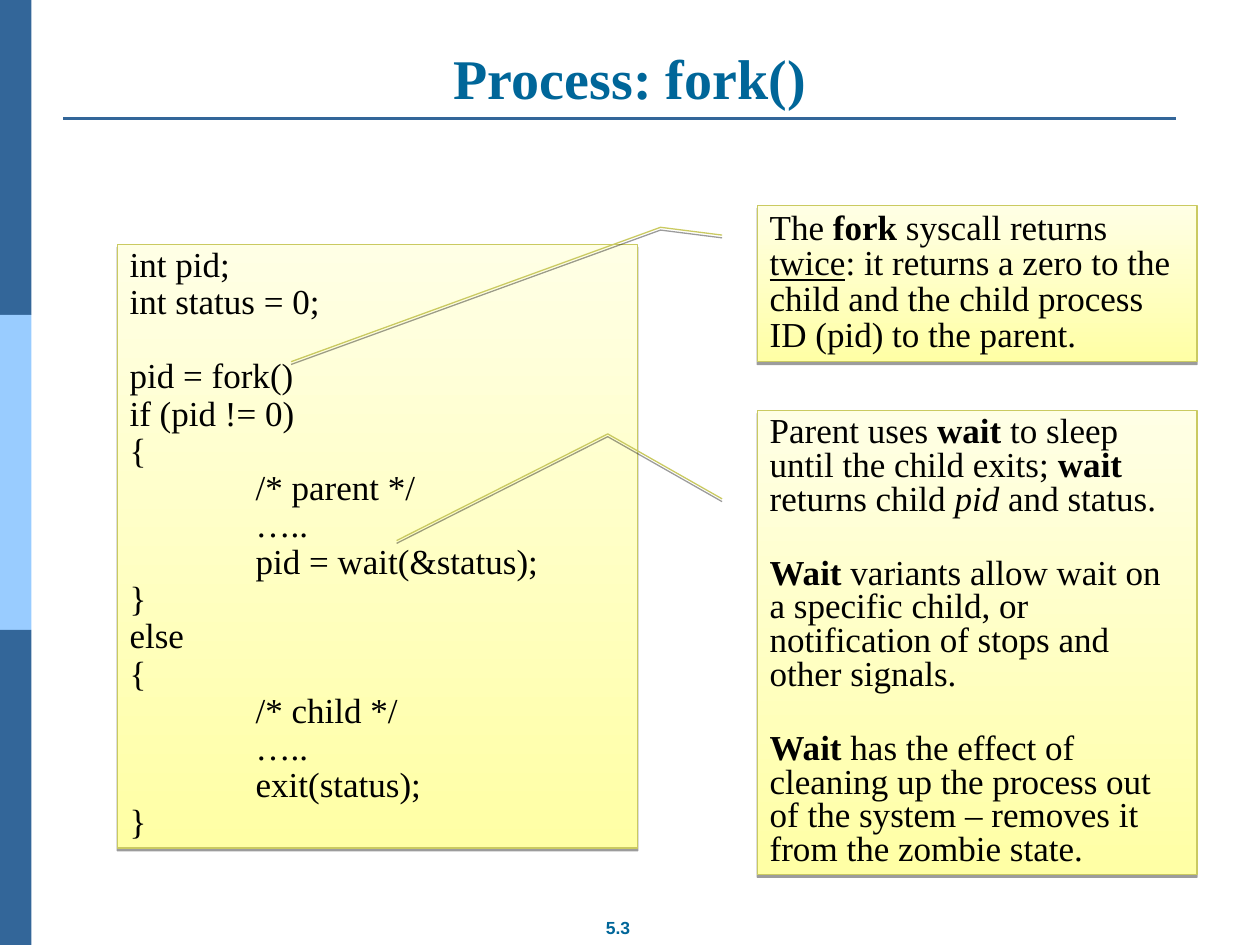
from dataclasses import dataclass

from lxml.etree import SubElement
from pptx import Presentation
from pptx.dml.color import RGBColor
from pptx.enum.shapes import MSO_CONNECTOR as Connector, MSO_SHAPE as Shape
from pptx.enum.text import MSO_ANCHOR as Anchor, MSO_AUTO_SIZE as AutoSize, PP_ALIGN as Align
from pptx.oxml.ns import qn
from pptx.util import Pt


@dataclass(frozen=True)
class Theme:
    blue: RGBColor = RGBColor.from_string("336699")
    light_blue: RGBColor = RGBColor.from_string("99CCFF")
    heading: RGBColor = RGBColor.from_string("006699")
    text: RGBColor = RGBColor.from_string("000000")
    panel_bottom: RGBColor = RGBColor.from_string("FFFFA5")
    panel_top: RGBColor = RGBColor.from_string("FFFFE5")
    panel_line: RGBColor = RGBColor.from_string("CACA61")
    shadow: str = "000000"
    serif: str = "Times New Roman"
    sans: str = "Arial"
    title_size: int = 32
    body_size: int = 20
    number_size: int = 10


THEME = Theme()
LINE_GAP = 2
EMPTY_LINE = 23.2

CODE = """int pid;
int status = 0;

pid = fork()
if (pid != 0)
{
\t/* parent */
\t…..
\tpid = wait(&status);
}
else
{
\t/* child */
\t…..
\texit(status);
}"""

FORK_NOTE = [
    [("The ", ""), ("fork", "bold"), (" syscall returns ", ""), ("twice", "underline"),
     (": it returns a zero to the child and the child process ID (pid) to the parent.", "")],
]
WAIT_NOTE = [
    [("Parent uses ", ""), ("wait", "bold"), (" to sleep until the child exits; ", ""),
     ("wait", "bold"), (" returns child ", ""), ("pid", "italic"), (" and status.", "")],
    [("Wait", "bold"),
     (" variants allow wait on a specific child, or notification of stops and other signals.", "")],
    [("Wait", "bold"),
     (" has the effect of cleaning up the process out of the system – removes it from the zombie state.", "")],
]


def style_font(font, name, size, color, bold=False):
    font.name, font.size, font.bold = name, Pt(size), bold
    font.color.rgb = color


def add_sidebar(page):
    height = 180
    for index, color in enumerate((THEME.blue, THEME.light_blue, THEME.blue)):
        band = page.shapes.add_shape(Shape.RECTANGLE, 0, Pt(index * height), Pt(18), Pt(height))
        band.shadow.inherit = False
        band.fill.solid()
        band.fill.fore_color.rgb = color
        band.line.fill.background()


def add_rule(page):
    rule = page.shapes.add_connector(Connector.STRAIGHT, Pt(36), Pt(67.7), Pt(671.8), Pt(67.7))
    rule.line.color.rgb = THEME.blue
    rule.line.width = Pt(1.5)
    SubElement(rule._element.spPr, qn("a:effectLst"))


def set_title(page, text):
    title = page.shapes.title
    title.left, title.top, title.width, title.height = Pt(36), Pt(21.6), Pt(648), Pt(45.4)
    frame = title.text_frame
    frame.text = text
    frame.auto_size = AutoSize.NONE
    frame.vertical_anchor = Anchor.BOTTOM
    paragraph = frame.paragraphs[0]
    paragraph.alignment = Align.CENTER
    style_font(paragraph.runs[0].font, THEME.serif, THEME.title_size, THEME.heading, True)


def add_page_number(page, text):
    box = page.shapes.add_textbox(Pt(317.5), Pt(520.6), Pt(71.3), Pt(19.4))
    frame = box.text_frame
    frame.text = text
    frame.word_wrap = False
    paragraph = frame.paragraphs[0]
    paragraph.alignment = Align.CENTER
    style_font(paragraph.runs[0].font, THEME.sans, THEME.number_size, THEME.heading, True)


def add_drop_shadow(shape):
    shape.shadow.inherit = False
    effects = shape._element.spPr.find(qn("a:effectLst"))
    shadow = SubElement(effects, qn("a:outerShdw"), blurRad="0", dist=str(Pt(1.6)),
                        dir="5400000", rotWithShape="0")
    color = SubElement(shadow, qn("a:srgbClr"), val=THEME.shadow)
    SubElement(color, qn("a:alpha"), val="38000")


def add_panel(page, kind, left, top, width, height):
    panel = page.shapes.add_shape(kind, Pt(left), Pt(top), Pt(width), Pt(height))
    add_drop_shadow(panel)
    panel.fill.gradient()
    panel.fill.gradient_angle = 90
    for stop, color in zip(panel.fill.gradient_stops, (THEME.panel_bottom, THEME.panel_top)):
        stop.color.rgb = color
    panel.line.color.rgb = THEME.panel_line
    panel.line.width = Pt(0.75)
    frame = panel.text_frame
    frame.word_wrap = True
    frame.vertical_anchor = Anchor.TOP
    return panel


def format_paragraph(paragraph, line_spacing, space_after):
    paragraph.alignment = Align.LEFT
    paragraph.line_spacing = line_spacing
    paragraph.space_after = Pt(space_after)
    for span in paragraph.runs:
        style_font(span.font, THEME.serif, THEME.body_size, THEME.text)


def add_tab_stop(paragraph, position):
    tabs = SubElement(paragraph._p.get_or_add_pPr(), qn("a:tabLst"))
    SubElement(tabs, qn("a:tab"), pos=str(Pt(position)), algn="l")


def add_code(page, code):
    frame = add_panel(page, Shape.RECTANGLE, 67, 139.7, 297.4, 344.9).text_frame
    blocks = [block.split("\n") for block in code.split("\n\n")]
    frame.text = "\n".join(line for block in blocks for line in block)
    gaps = [EMPTY_LINE if line is block[-1] and block is not blocks[-1] else LINE_GAP
            for block in blocks for line in block]
    for paragraph, gap in zip(frame.paragraphs, gaps):
        add_tab_stop(paragraph, 72)
        format_paragraph(paragraph, 0.8, gap)


def add_note(page, top, height, leader, content, line_spacing):
    note = add_panel(page, Shape.LINE_CALLOUT_2, 432.7, top, 251.3, height)
    for index, value in enumerate(leader):
        note.adjustments[index] = value
    frame = note.text_frame
    for index, spans in enumerate(content):
        paragraph = frame.add_paragraph() if index else frame.paragraphs[0]
        for text, _ in spans:
            paragraph.add_run().text = text
        gap = EMPTY_LINE if index < len(content) - 1 else 0
        format_paragraph(paragraph, line_spacing, gap)
        for span, (_, emphasis) in zip(paragraph.runs, spans):
            if emphasis:
                setattr(span.font, emphasis, True)


def main():
    deck = Presentation()
    deck.slide_width, deck.slide_height = Pt(720), Pt(540)
    page = deck.slides.add_slide(deck.slide_layouts[5])
    add_sidebar(page)
    add_rule(page)
    set_title(page, "Process: fork()")
    add_page_number(page, "5.3")
    add_code(page, CODE)
    add_note(page, 234.7, 265, (0.19, -0.08, 0.05, -0.34, 0.28, -0.82), WAIT_NOTE, 0.8)
    add_note(page, 117.4, 89.3, (0.19, -0.08, 0.14, -0.22, 1, -1.06), FORK_NOTE, 0.85)
    deck.save("out.pptx")


if __name__ == "__main__":
    main()
